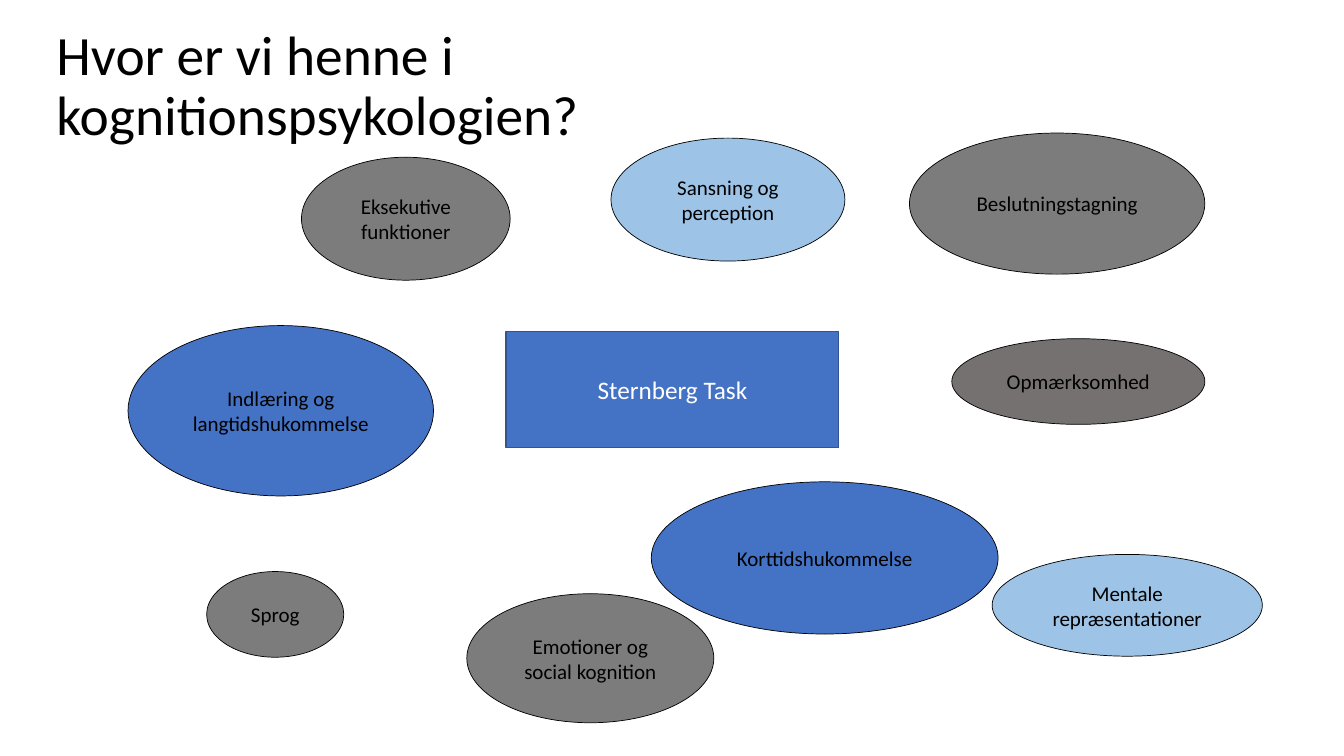
import pptx
import pptx.util
import pptx.dml.color
import pptx.enum.shapes
import pptx.enum.text

Inches = pptx.util.Inches
Pt = pptx.util.Pt
RGBColor = pptx.dml.color.RGBColor
Shape = pptx.enum.shapes.MSO_SHAPE
Align = pptx.enum.text.PP_ALIGN
Anchor = pptx.enum.text.MSO_ANCHOR

BLACK = RGBColor(0x00, 0x00, 0x00)
WHITE = RGBColor(0xFF, 0xFF, 0xFF)
GRAY = RGBColor(0x7C, 0x7C, 0x7C)
TAUPE = RGBColor(0x76, 0x71, 0x71)
BLUE = RGBColor(0x44, 0x72, 0xC4)
NAVY = RGBColor(0x32, 0x54, 0x91)
SKY = RGBColor(0x9D, 0xC3, 0xE6)

TOPICS = [
    ("Eksekutive funktioner", GRAY, (2.99, 1.56, 2.07, 1.22)),
    ("Sansning og perception", SKY, (6.06, 1.37, 2.32, 1.22)),
    ("Korttidshukommelse", BLUE, (6.46, 4.78, 3.44, 1.51)),
    ("Emotioner og social kognition", GRAY, (4.63, 5.89, 2.45, 1.28)),
    ("Opmærksomhed", TAUPE, (9.44, 3.36, 2.51, 0.85)),
    ("Sprog", GRAY, (2.05, 5.67, 1.36, 0.85)),
    ("Beslutningstagning", GRAY, (9.02, 1.32, 2.93, 1.4)),
    ("Indlæring og langtidshukommelse", BLUE, (1.27, 3.23, 3.03, 1.69)),
    ("Mentale repræsentationer", SKY, (9.84, 5.5, 2.68, 1.01)),
]


class Page:
    def __init__(self, slide, face):
        self.slide = slide
        self.face = face

    def label(self, shape, text, size, color, align):
        frame = shape.text_frame
        frame.word_wrap = True
        frame.auto_size = pptx.enum.text.MSO_AUTO_SIZE.NONE
        frame.vertical_anchor = Anchor.MIDDLE
        para = frame.paragraphs[0]
        para.text = text
        para.alignment = align
        para.font.name = self.face
        para.font.size = Pt(size)
        para.font.color.rgb = color
        return para

    def title(self, text, box):
        shape = self.slide.shapes.title
        shape.left, shape.top, shape.width, shape.height = map(Inches, box)
        para = self.label(shape, text, 39.6, BLACK, Align.LEFT)
        para.line_spacing = 0.9

    def block(self, kind, text, box, fill, line, width, size, color):
        shape = self.slide.shapes.add_shape(kind, *map(Inches, box))
        shape.shadow.inherit = False
        shape.fill.solid()
        shape.fill.fore_color.rgb = fill
        shape.line.color.rgb = line
        shape.line.width = Pt(width)
        self.label(shape, text, size, color, Align.CENTER)

    def topic(self, text, fill, box):
        self.block(Shape.OVAL, text, box, fill, BLACK, 0.5, 15, BLACK)

    def task(self, text, box):
        self.block(Shape.RECTANGLE, text, box, BLUE, NAVY, 1, 18, WHITE)


def main():
    deck = pptx.Presentation()
    deck.slide_width = Inches(13.33)
    deck.slide_height = Inches(7.5)
    page = Page(deck.slides.add_slide(deck.slide_layouts[5]), "Calibri")
    page.title("Hvor er vi henne i kognitionspsykologien?", (0.46, 0.63, 8.71, 0.47))
    for text, fill, box in TOPICS:
        page.topic(text, fill, box)
    page.task("Sternberg Task", (5.02, 3.29, 3.3, 1.15))
    deck.save("out.pptx")


if __name__ == "__main__":
    main()
